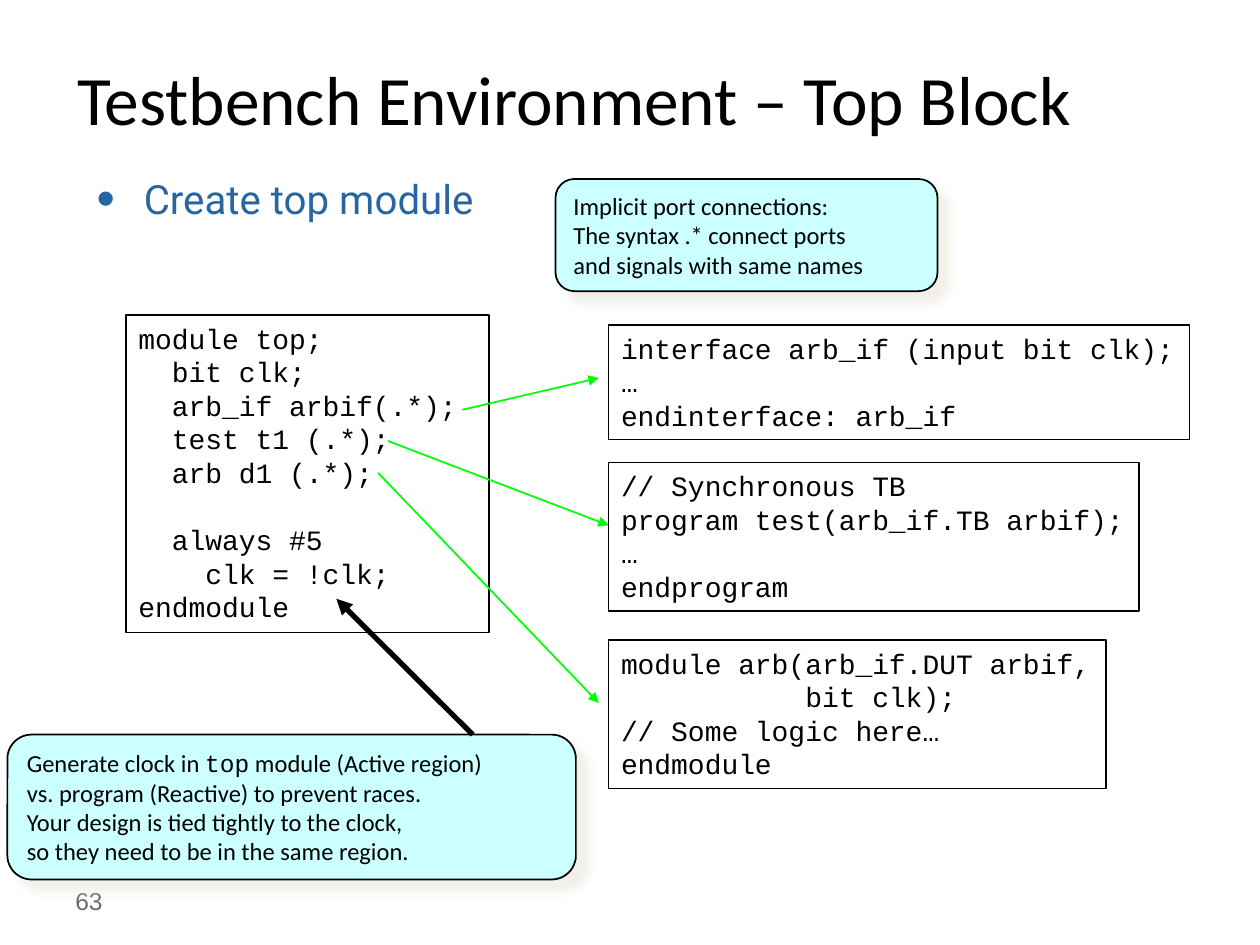
from lxml import etree
from pptx import Presentation
from pptx.dml.color import RGBColor
from pptx.enum.shapes import MSO_CONNECTOR, MSO_SHAPE
from pptx.enum.text import MSO_ANCHOR, MSO_AUTO_SIZE, PP_ALIGN
from pptx.oxml import parse_xml
from pptx.oxml.ns import nsdecls, qn
from pptx.util import Cm, Pt

BLACK = RGBColor(0x00, 0x00, 0x00)
GREY = RGBColor(0x6B, 0x6B, 0x6B)
BLUE = RGBColor(0x27, 0x66, 0xA0)
CYAN = RGBColor(0xCC, 0xFF, 0xFF)
GREEN = RGBColor(0x00, 0xFF, 0x00)
CODE_FONT = "Courier New"

SHADOW = f"""<a:effectLst {nsdecls('a')}>
  <a:outerShdw blurRad="63500" dist="107950" dir="2700000" algn="ctr" rotWithShape="0">
    <a:srgbClr val="EEECE1"><a:alpha val="75000"/></a:srgbClr>
  </a:outerShdw>
</a:effectLst>"""

prs = Presentation()
prs.slide_width, prs.slide_height = Cm(25.4), Cm(19.05)
s = prs.slides.add_slide(prs.slide_layouts[6])


def add_text(box, text, font, size, color):
    tb = s.shapes.add_textbox(*map(Cm, box))
    tf = tb.text_frame
    tf.word_wrap = True
    tf.text = text
    f = tf.paragraphs[0].runs[0].font
    f.name, f.size, f.color.rgb = font, Pt(size), color
    return tf


def add_box(kind, box, lines, font, size, line_width):
    """Outlined box that holds one left-aligned paragraph per line."""
    sp = s.shapes.add_shape(kind, *map(Cm, box))
    sp.shadow.inherit = False
    sp.fill.background()
    sp.line.color.rgb = BLACK
    sp.line.width = Pt(line_width)
    tf = sp.text_frame
    tf.word_wrap = False
    tf.auto_size = MSO_AUTO_SIZE.SHAPE_TO_FIT_TEXT
    tf.text = "\n".join(lines)
    for p in tf.paragraphs:
        p.alignment = PP_ALIGN.LEFT
        for r in p.runs:
            r.font.name, r.font.size = font, Pt(size)
            r.font.color.rgb = BLACK
    return sp


# Slide number, title and bullet
tf = add_text((1.27, 17.65, 5.92, 1.02), "63", "Arial", 14, GREY)
tf.vertical_anchor = MSO_ANCHOR.MIDDLE

tf = add_text((0.71, 1.07, 21.74, 1.8), "Testbench Environment – Top Block",
              "Calibri", 39.6, BLACK)
tf.vertical_anchor = MSO_ANCHOR.MIDDLE
tf.paragraphs[0].alignment = PP_ALIGN.CENTER

tf = add_text((1.7, 3.38, 22.43, 13.97), "Create top module", "Roboto", 23, BLUE)
pPr = tf.paragraphs[0]._p.get_or_add_pPr()
pPr.set("marL", str(Cm(0.95)))
pPr.set("indent", str(-Cm(0.95)))
etree.SubElement(pPr, qn("a:buSzPct")).set("val", "130000")
etree.SubElement(pPr, qn("a:buFont")).set("typeface", "Arial")
etree.SubElement(pPr, qn("a:buChar")).set("char", "•")

# Callouts
callouts = [
    ((11.2, 3.61, 7.7, 2.26), [
        "Implicit port connections:",
        "The syntax .* connect ports",
        "and signals with same names"]),
    ((0.15, 14.81, 11.46, 2.92), [
        "Generate clock in ",
        "vs. program (Reactive) to prevent races.",
        "Your design is tied tightly to the clock,",
        "so they need to be in the same region."]),
]
for box, lines in callouts:
    sp = add_box(MSO_SHAPE.ROUNDED_RECTANGLE, box, lines, "Calibri", 14, 1)
    sp.fill.solid()
    sp.fill.fore_color.rgb = CYAN
    sp.text_frame.vertical_anchor = MSO_ANCHOR.MIDDLE
    spPr = sp._element.spPr
    spPr.replace(spPr.find(qn("a:effectLst")), parse_xml(SHADOW))

# The clock callout, last added, names the module in the code font
p = sp.text_frame.paragraphs[0]
for text, font in [("top", CODE_FONT), (" module (Active region)", "Calibri")]:
    r = p.add_run()
    r.text = text
    r.font.name, r.font.size = font, Pt(14)
    r.font.color.rgb = BLACK

# Code listings
listings = [
    ((2.54, 6.35, 7.32, 6.4), [
        "module top;",
        "  bit clk;",
        "  arb_if arbif(.*);",
        "  test t1 (.*);",
        "  arb d1 (.*);",
        "  ",
        "  always #5",
        "    clk = !clk;",
        "endmodule"]),
    ((12.27, 6.55, 11.71, 2.31), [
        "interface arb_if (input bit clk);",
        "…",
        "endinterface: arb_if"]),
    ((12.27, 9.32, 10.69, 3), [
        "// Synchronous TB",
        "program test(arb_if.TB arbif);",
        "…",
        "endprogram"]),
    ((12.27, 12.9, 10.03, 3), [
        "module arb(arb_if.DUT arbif,",
        "           bit clk);",
        "// Some logic here…",
        "endmodule"]),
]
for box, lines in listings:
    sp = add_box(MSO_SHAPE.RECTANGLE, box, lines, CODE_FONT, 16, 0.75)
    sp.text_frame.vertical_anchor = MSO_ANCHOR.TOP

# Arrows from the callout to the clock and from instances to definitions
arrows = [
    ((9.53, 14.81, 6.78, 12.07), BLACK, 3),
    ((9.32, 8.26, 12.07, 7.62), GREEN, 1),
    ((7.82, 8.89, 12.27, 10.59), GREEN, 1),
    ((7.62, 9.53, 12.07, 14.17), GREEN, 1),
]
for ends, color, width in arrows:
    cx = s.shapes.add_connector(MSO_CONNECTOR.STRAIGHT, *map(Cm, ends))
    cx.line.color.rgb = color
    cx.line.width = Pt(width)
    etree.SubElement(cx.line._get_or_add_ln(), qn("a:tailEnd")).set("type", "triangle")
    etree.SubElement(cx._element.spPr, qn("a:effectLst"))

prs.save("out.pptx")
